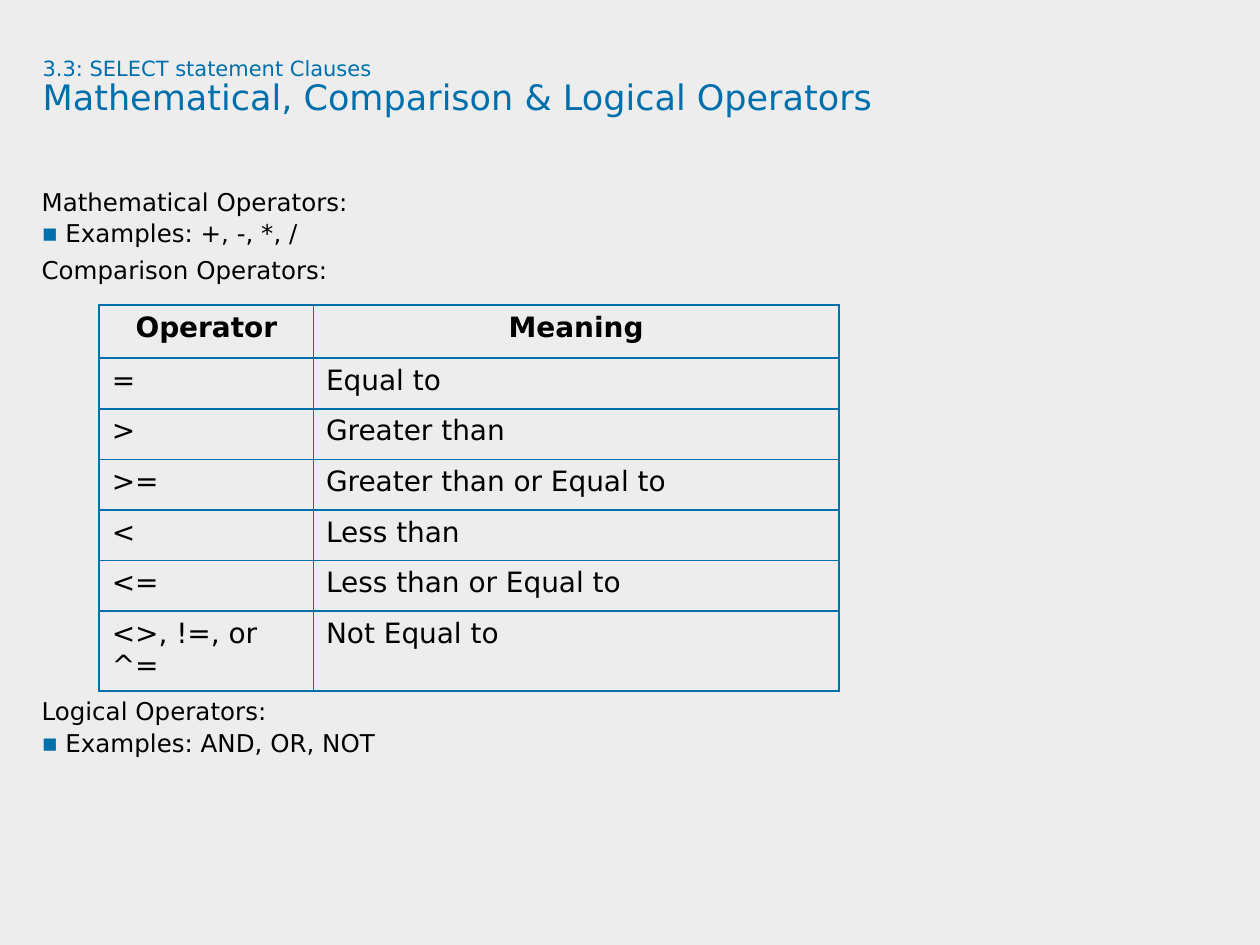
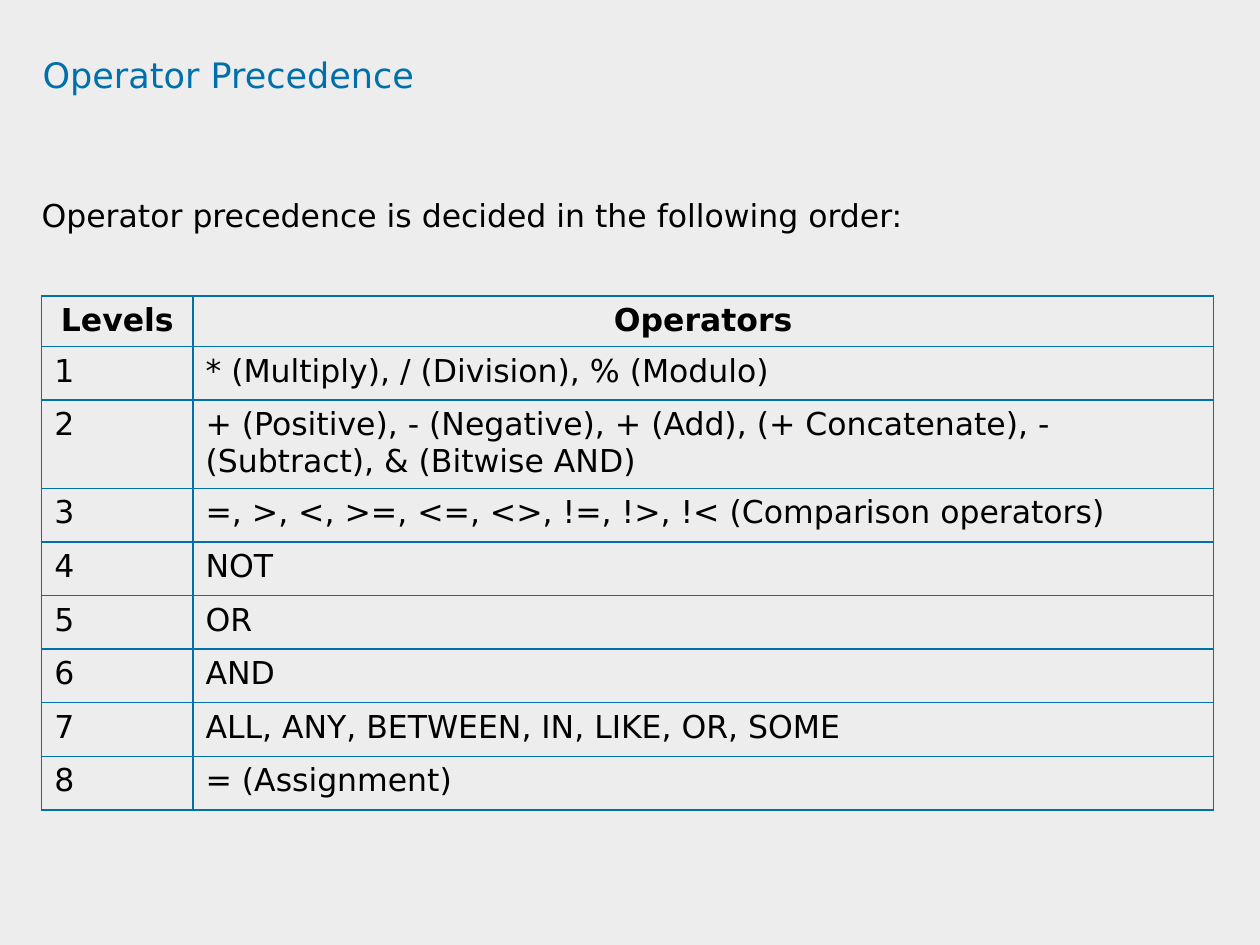
from lxml import etree
from pptx import Presentation
from pptx.dml.color import RGBColor
from pptx.enum.text import PP_ALIGN
from pptx.oxml.ns import qn
from pptx.util import Cm, Pt

BLUE = RGBColor(0x00, 0x70, 0xAD)
BLACK = RGBColor(0x00, 0x00, 0x00)
GRAY = RGBColor(0xED, 0xED, 0xED)
FONT = "DejaVu Sans"
LEFT = PP_ALIGN.LEFT
CENTER = PP_ALIGN.CENTER
EDGE = Cm(0.84)
WIDE = Cm(24.56)

SIGNS = [
    ("Operator", "Meaning"),
    ("=", "Equal to"),
    (">", "Greater than"),
    (">=", "Greater than or Equal to"),
    ("<", "Less than"),
    ("<=", "Less than or Equal to"),
    ("<>, !=, or ^=", "Not Equal to"),
]
RANKS = ["Operators",
         "* (Multiply), / (Division), % (Modulo)",
         "+ (Positive), - (Negative), + (Add), (+ Concatenate), - "
         "(Subtract), & (Bitwise AND)",
         "=, >, <, >=, <=, <>, !=, !>, !< (Comparison operators)",
         "NOT", "OR", "AND",
         "ALL, ANY, BETWEEN, IN, LIKE, OR, SOME",
         "= (Assignment)"]


def style(run, size, color=BLACK, bold=False):
    font = run.font
    font.name, font.size, font.bold = FONT, Pt(size), bold
    font.color.rgb = color


def add_slide(deck):
    slide = deck.slides.add_slide(deck.slide_layouts[6])
    fill = slide.background.fill
    fill.solid()
    fill.fore_color.rgb = GRAY
    return slide


def add_box(slide, left, top, width, height):
    frame = slide.shapes.add_textbox(left, top, width, height).text_frame
    frame.word_wrap = True
    frame.margin_left = frame.margin_right = 0
    frame.margin_top = frame.margin_bottom = 0
    return frame


def add_title(slide, title, topic=None):
    frame = add_box(slide, Cm(0.86), Cm(1.17), Cm(23.09), Cm(2.39))
    para = frame.paragraphs[0]
    para.text = f"{topic}\v{title}" if topic else title
    para.line_spacing = 0.9
    for run in para.runs:
        style(run, 12 if run.text == topic else 20, BLUE)


def add_bullet(para):
    props = para._p.get_or_add_pPr()
    props.set("marL", str(Cm(0.48)))
    props.set("indent", str(Cm(-0.48)))
    color = etree.SubElement(props, qn("a:buClr"))
    etree.SubElement(color, qn("a:srgbClr"), val=str(BLUE))
    etree.SubElement(props, qn("a:buFont"), typeface=FONT)
    etree.SubElement(props, qn("a:buChar"), char="▪")


def add_body(slide, top, height, lines, size):
    frame = add_box(slide, EDGE, top, WIDE, height)
    frame.text = "\n".join(lines)
    for para in frame.paragraphs:
        point = para.text.startswith("Examples")
        if point:
            add_bullet(para)
        para.line_spacing = Pt(13.5 if point else 16.5)
        para.space_after = Pt(4.5)
        style(para.runs[0], size)


def add_edges(cell):
    props = cell._tc.get_or_add_tcPr()
    for side in ("lnL", "lnR", "lnT", "lnB"):
        line = etree.SubElement(props, qn(f"a:{side}"), w=str(Pt(1)))
        fill = etree.SubElement(line, qn("a:solidFill"))
        etree.SubElement(fill, qn("a:srgbClr"), val=str(BLUE))


def add_grid(slide, left, top, widths, heights, rows, size):
    table = slide.shapes.add_table(
        len(rows), len(widths), left, top, sum(widths), sum(heights)).table
    table.first_row = table.horz_banding = False
    for col, width in zip(table.columns, widths):
        col.width = width
    for r, (row, height) in enumerate(zip(rows, heights)):
        table.rows[r].height = height
        for c, text in enumerate(row):
            cell = table.cell(r, c)
            add_edges(cell)
            cell.fill.background()
            cell.text = text
            para = cell.text_frame.paragraphs[0]
            para.alignment = LEFT if r else CENTER
            style(para.runs[0], size, bold=r == 0)


def add_signs(deck):
    slide = add_slide(deck)
    add_title(slide, "Mathematical, Comparison & Logical Operators",
              "3.3: SELECT statement Clauses")
    add_body(slide, Cm(3.78), Cm(2.2),
             ["Mathematical Operators:", "Examples: +, -, *, /",
              "Comparison Operators:"], 14)
    heights = [Cm(1.07)] + [Cm(1.02)] * 5 + [Cm(1.55)]
    add_grid(slide, Cm(2), Cm(6.15), [Cm(4.32), Cm(10.59)], heights,
             SIGNS, 16)
    add_body(slide, Cm(14.05), Cm(1.5),
             ["Logical Operators:", "Examples: AND, OR, NOT"], 14)


def add_ranks(deck):
    slide = add_slide(deck)
    add_title(slide, "Operator Precedence")
    add_body(slide, Cm(4.14), Cm(1),
             ["Operator precedence is decided in the following order:"], 18)
    rows = [(str(n) if n else "Levels", text) for n, text in enumerate(RANKS)]
    heights = [Cm(0.99), Cm(1.08), Cm(1.73)] + [Cm(1.08)] * 6
    add_grid(slide, EDGE, Cm(5.97), [Cm(3.05), Cm(20.57)], heights, rows, 18)


def main():
    deck = Presentation()
    deck.slide_width, deck.slide_height = Cm(25.4), Cm(19.05)
    add_signs(deck)
    add_ranks(deck)
    deck.save("out.pptx")


if __name__ == "__main__":
    main()
